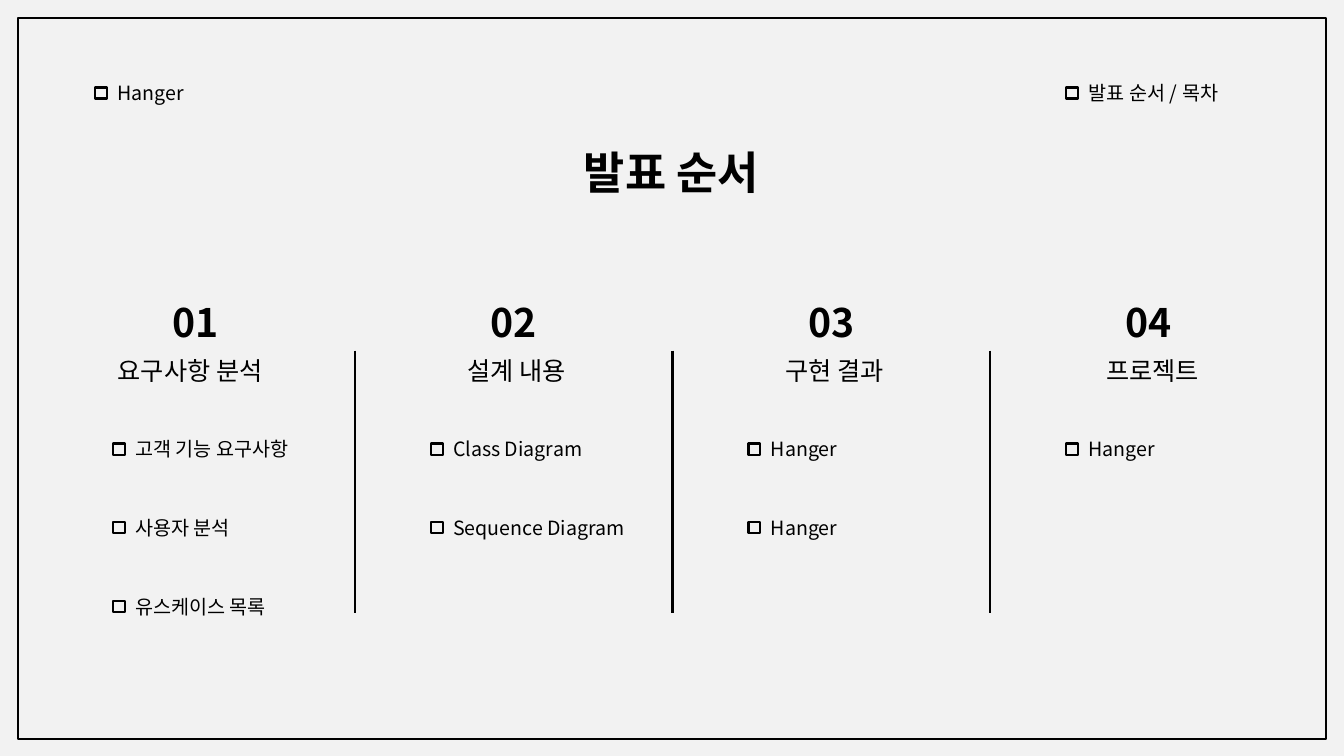
from lxml.etree import SubElement
from pptx import Presentation
from pptx.dml.color import RGBColor
from pptx.enum.shapes import MSO_CONNECTOR, MSO_SHAPE
from pptx.enum.text import MSO_ANCHOR, PP_ALIGN
from pptx.oxml.ns import qn
from pptx.util import Pt

COLORS = {"background": "F2F2F2", "ink": "000000"}
FONT = "Noto Sans CJK KR"
COLUMN_PITCH = 227
ITEM_PITCH = 56.3
COLUMNS = [
    ("요구사항 분석", PP_ALIGN.LEFT, ["고객 기능 요구사항", "사용자 분석", "유스케이스 목록"]),
    ("설계 내용", PP_ALIGN.CENTER, ["Class Diagram", "Sequence Diagram"]),
    ("구현 결과", PP_ALIGN.CENTER, ["Hanger", "Hanger"]),
    ("프로젝트", PP_ALIGN.CENTER, ["Hanger"]),
]


def ink():
    """Return the colour of text and lines."""
    return RGBColor.from_string(COLORS["ink"])


def write_text(shape, text, size, bold=False, alignment=PP_ALIGN.LEFT):
    """Fill a shape with one formatted line of text."""
    frame = shape.text_frame
    frame.word_wrap = True
    frame.vertical_anchor = MSO_ANCHOR.TOP
    frame.text = text
    paragraph = frame.paragraphs[0]
    paragraph.alignment = alignment
    paragraph.line_spacing = 1.0
    paragraph.space_before = Pt(0)
    font = paragraph.font
    font.name, font.size, font.bold = FONT, Pt(size), bold
    font.color.rgb = ink()
    properties = font._element
    SubElement(properties, qn("a:ea")).set("typeface", FONT)


def add_text(slide, left, top, width, height, *text_format):
    """Add a text box with one line of text."""
    box = slide.shapes.add_textbox(Pt(left), Pt(top), Pt(width), Pt(height))
    write_text(box, *text_format)


def add_outline(slide, preset, left, top, width, height):
    """Add an unfilled shape with a dark outline."""
    shape = slide.shapes.add_shape(preset, Pt(left), Pt(top), Pt(width), Pt(height))
    shape.shadow.inherit = False
    shape.fill.background()
    shape.line.color.rgb = ink()
    shape.line.width = Pt(1.5)


def add_item(slide, left, top, width, text):
    """Add a small square followed by its label."""
    add_outline(slide, MSO_SHAPE.RECTANGLE, left, top + 7.9, 8.6, 7.9)
    add_text(slide, left + 8.9, top, width, 24.5, text, 14)


def add_divider(slide, left, top, height):
    """Add a vertical line between two columns."""
    line = slide.shapes.add_connector(
        MSO_CONNECTOR.STRAIGHT, Pt(left), Pt(top), Pt(left), Pt(top + height))
    line.line.color.rgb = ink()
    line.line.width = Pt(1.5)
    SubElement(line._element.spPr, qn("a:effectLst"))


def add_header(slide, left, top, width):
    """Add the frame, the two header labels and the title."""
    add_outline(slide, MSO_SHAPE.FLOWCHART_PROCESS, 13, 13, 934, 515)
    add_item(slide, left, top, 80, "Hanger")
    add_item(slide, left + width - 132, top, 123.1, "발표 순서 / 목차")
    title = slide.shapes.title
    title.left, title.top, title.width, title.height = Pt(381), Pt(100), Pt(197.3), Pt(46)
    write_text(title, "발표 순서", 32, True, PP_ALIGN.CENTER)


def add_column(slide, left, top, number, heading, alignment, items):
    """Add one numbered section with its heading and items."""
    add_text(slide, left + 33.2, top, 59, 41, f"{number:02d}", 28, True, PP_ALIGN.CENTER)
    add_text(slide, left, top + 41, 130.3, 29, heading, 18, False, alignment)
    for index, item in enumerate(items):
        add_item(slide, left + 3.6, top + 99.4 + index * ITEM_PITCH, 143.3, item)
    if number < len(COLUMNS):
        add_divider(slide, left + 176.4, top + 41, 187.2)


def main():
    """Build and save the agenda slide."""
    presentation = Presentation()
    presentation.slide_width, presentation.slide_height = Pt(960), Pt(540)
    slide = presentation.slides.add_slide(presentation.slide_layouts[5])
    slide.background.fill.solid()
    slide.background.fill.fore_color.rgb = RGBColor.from_string(COLORS["background"])
    add_header(slide, 67.7, 54.6, 826)
    for index, column in enumerate(COLUMNS):
        add_column(slide, 77 + index * COLUMN_PITCH, 209.5, index + 1, *column)
    presentation.save("out.pptx")


if __name__ == "__main__":
    main()
